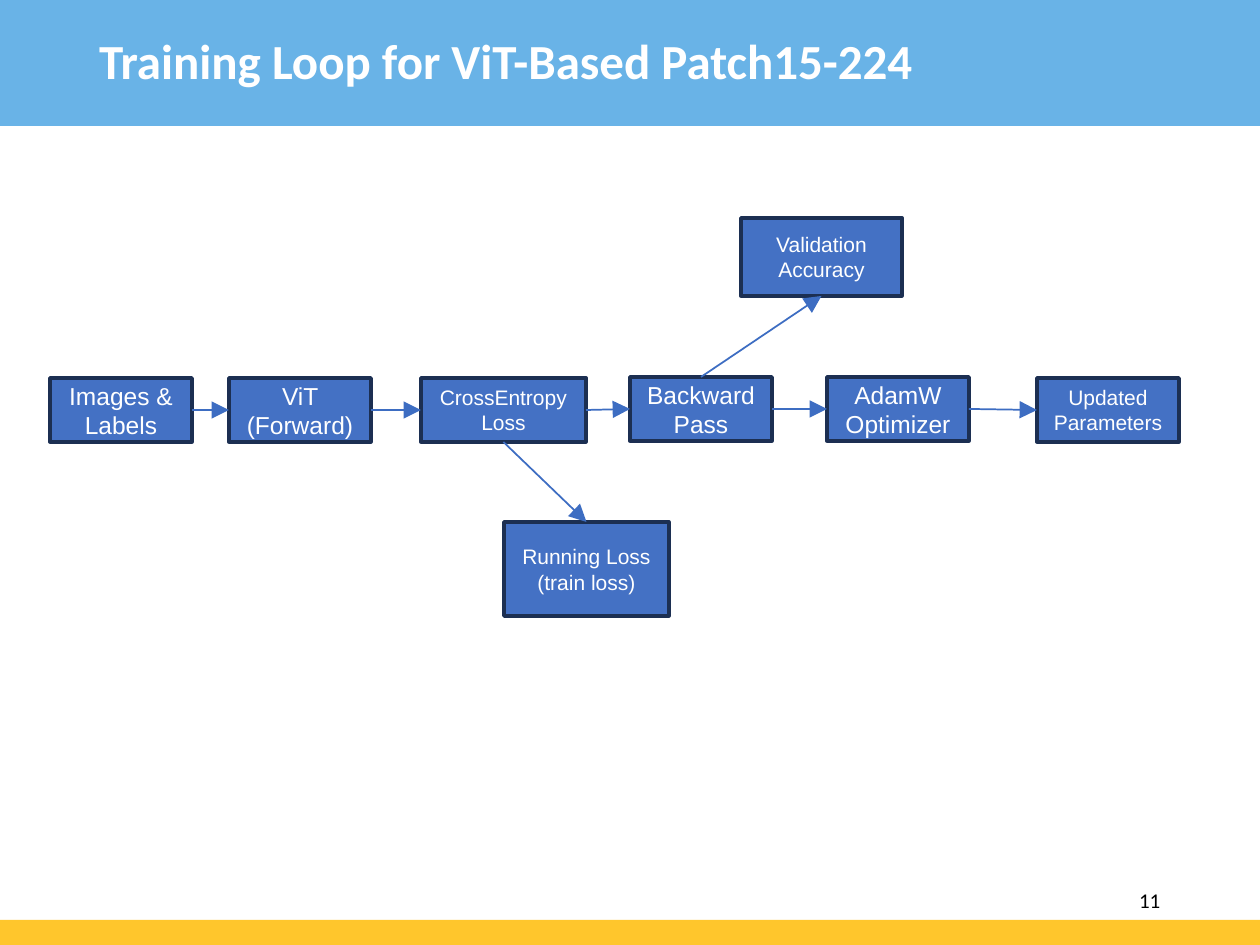
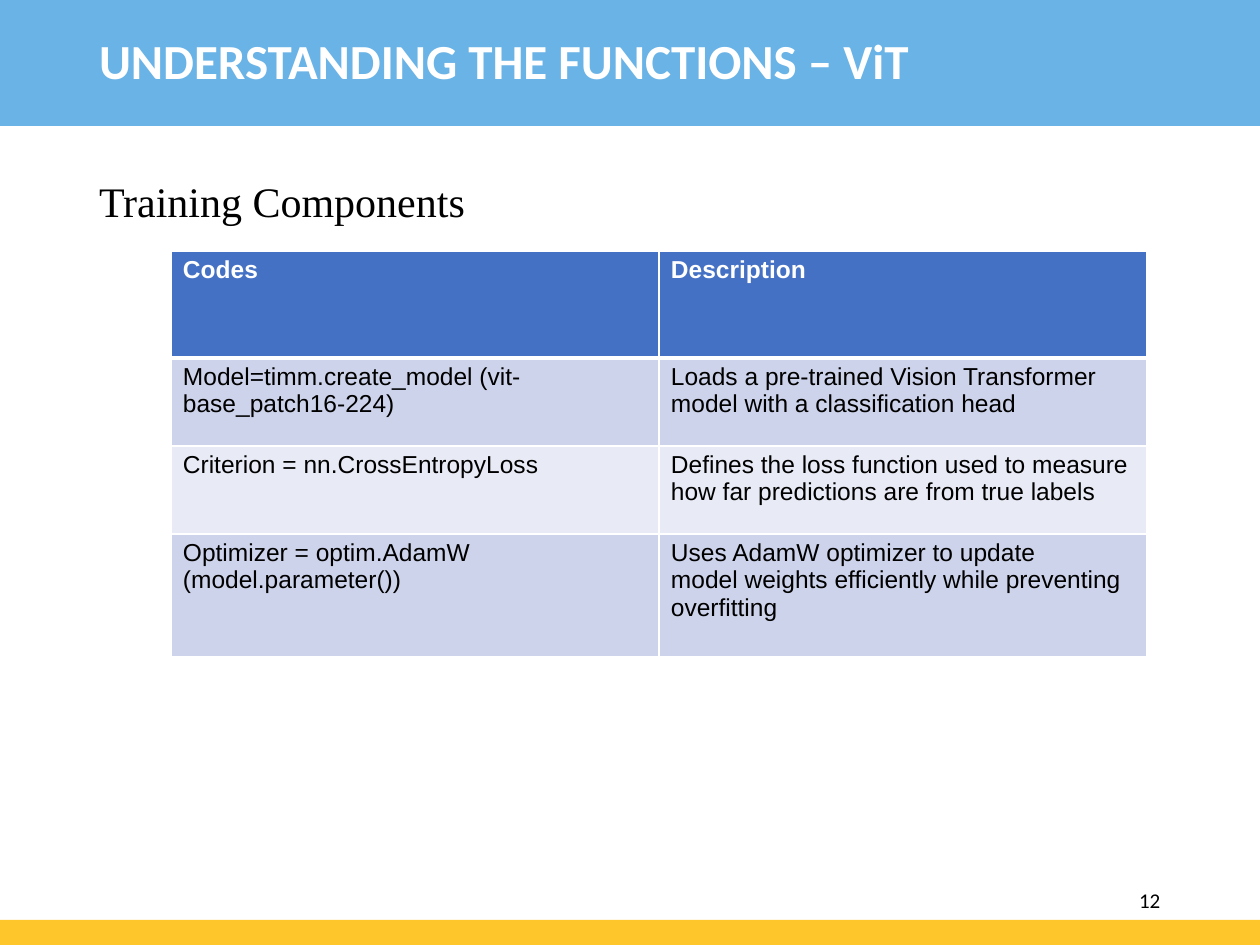
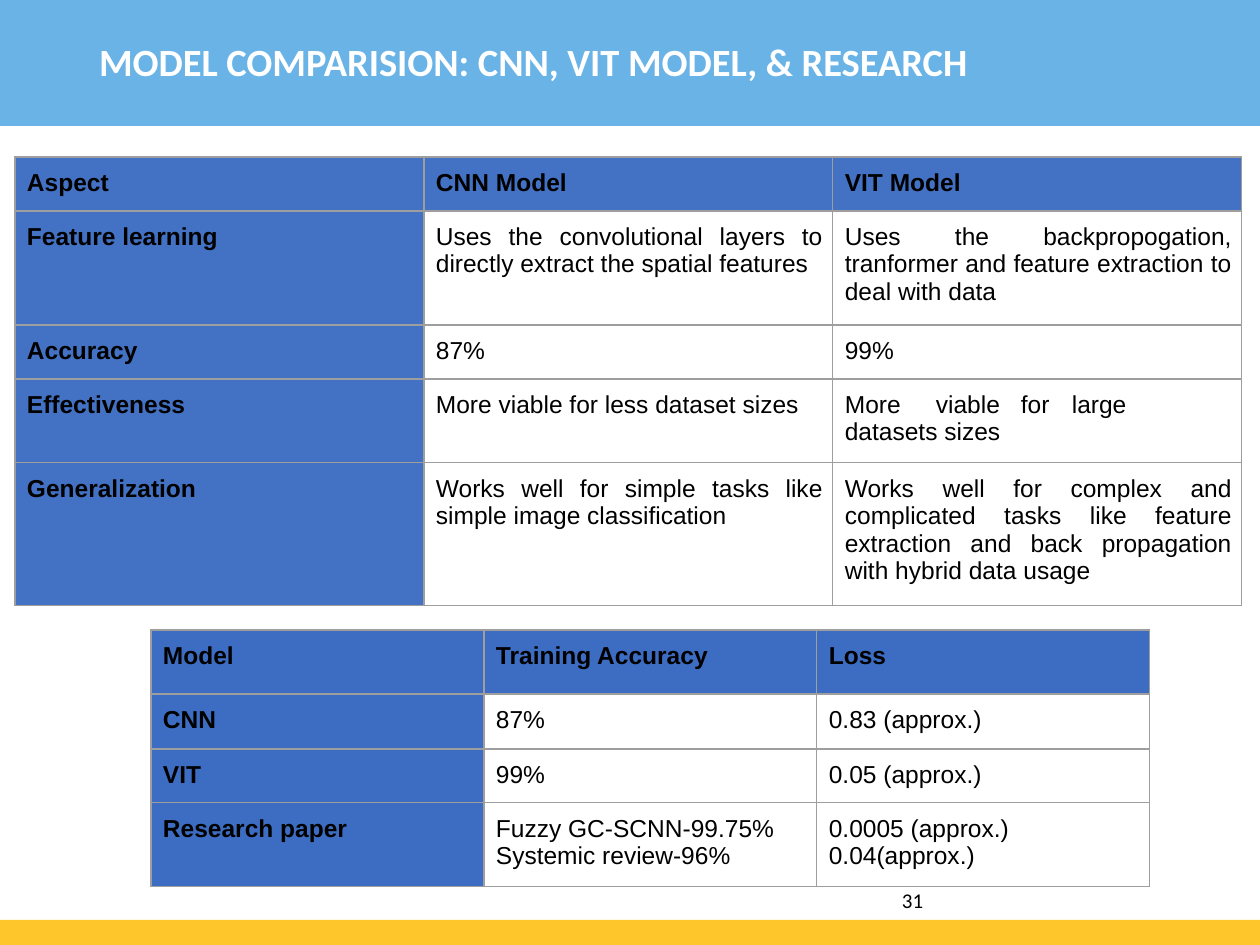
from lxml import etree
from pptx import Presentation
from pptx.dml.color import RGBColor
from pptx.enum.shapes import MSO_CONNECTOR, MSO_SHAPE
from pptx.enum.text import MSO_ANCHOR, MSO_AUTO_SIZE, PP_ALIGN
from pptx.oxml.ns import qn
from pptx.util import Emu, Pt

RECT, LINE = MSO_SHAPE.RECTANGLE, MSO_CONNECTOR.STRAIGHT
TOP, MID = MSO_ANCHOR.TOP, MSO_ANCHOR.MIDDLE
LEFT, MIDST, JUST = PP_ALIGN.LEFT, PP_ALIGN.CENTER, PP_ALIGN.JUSTIFY
UP, WEST, DOWN, EAST = range(4)

SKY, GOLD, WHITE, BLACK = "69B3E7", "FFC62C", "FFFFFF", "000000"
BLUE, NAVY, EDGE, GRAY = "4471C4", "1C2F52", "3D6DC2", "9E9E9E"

BANDS = [(0, 126, SKY), (920, 25, GOLD)]
TITLE = {"name": "Calibri", "size": 28, "bold": True, "color": WHITE}
PAGE = {"name": "Calibri", "size": 12, "color": BLACK}
HEAD = {"name": "Times New Roman", "size": 24, "color": BLACK}
NODE = {"name": "Arial", "size": 14, "color": WHITE}
CELL = {"name": "Arial", "size": 14, "bold": False, "color": BLACK}

NODES = {
    "data": ("Images & Labels", (50, 378, 142, 64), 14),
    "model": ("ViT (Forward)", (229, 378, 142, 64), 14),
    "loss": ("CrossEntropy Loss", (421, 378, 165, 64), 12),
    "back": ("Backward Pass", (630, 377, 142, 64), 14),
    "optim": ("AdamW Optimizer", (827, 377, 142, 64), 14),
    "params": ("Updated\nParameters", (1037, 378, 142, 64), 12),
    "run": ("Running Loss (train loss)", (504, 522, 165, 94), 12),
    "valid": ("Validation Accuracy", (741, 218, 161, 78), 12),
}
CHAIN = ["data", "model", "loss", "back", "optim", "params"]
LINKS = [(a, EAST, b, WEST) for a, b in zip(CHAIN, CHAIN[1:])]
LINKS += [("loss", DOWN, "run", UP), ("back", UP, "valid", DOWN)]

CODES = [
    ("Codes", "Description"),
    ("Model=timm.create_model (vit- base_patch16-224)",
     "Loads a pre-trained Vision Transformer model with a classification head"),
    ("Criterion = nn.CrossEntropyLoss",
     "Defines the loss function used to measure how far predictions are from true labels"),
    ("Optimizer = optim.AdamW (model.parameter())",
     "Uses AdamW optimizer to update\vmodel weights efficiently while preventing overfitting"),
]
ASPECTS = [
    ("Aspect", "CNN Model", "VIT Model"),
    ("Feature learning",
     "Uses the convolutional layers to directly extract the spatial features",
     "Uses the backpropogation, tranformer and feature extraction to deal with data"),
    ("Accuracy", "87%", "99%"),
    ("Effectiveness", "More viable for less dataset sizes",
     "More\tviable\tfor\tlarge\tdatasets sizes"),
    ("Generalization",
     "Works well for simple tasks like simple image classification",
     "Works well for complex and complicated tasks like feature extraction and back "
     "propagation with hybrid data usage"),
]
SCORES = [
    ("Model", "Training Accuracy", "Loss"),
    ("CNN", "87%", "0.83 (approx.)"),
    ("VIT", "99%", "0.05 (approx.)"),
    ("Research paper", "Fuzzy GC-SCNN-99.75%\nSystemic review-96%",
     "0.0005 (approx.) 0.04(approx.)"),
]
TABS = (91, 176, 227, 304)


def px(n):
    return Emu(round(n * 914400 / 126))


def rgb(code):
    return RGBColor.from_string(code)


def style(font, look):
    for key, val in look.items():
        if key == "color":
            font.color.rgb = rgb(val)
        else:
            setattr(font, key, Pt(val) if key == "size" else val)


def write(frame, text, look, align=LEFT, anchor=TOP, pad=(0, 0, 0, 0)):
    form = {"word_wrap": True, "auto_size": MSO_AUTO_SIZE.NONE, "vertical_anchor": anchor}
    sides = ("left", "top", "right", "bottom")
    form.update({f"margin_{side}": px(n) for side, n in zip(sides, pad)})
    for key, val in form.items():
        setattr(frame, key, val)
    frame.text = text
    for para in frame.paragraphs:
        para.alignment = align
        for run in para.runs:
            style(run.font, look)


def block(slide, box, fill, edge=None):
    shape = slide.shapes.add_shape(RECT, *map(px, box))
    shape.shadow.inherit = False
    shape.fill.solid()
    shape.fill.fore_color.rgb = rgb(fill)
    if edge:
        shape.line.color.rgb = rgb(edge)
        shape.line.width = Pt(2)
    else:
        shape.line.fill.background()
    return shape


def label(slide, box, text, look, pad=(0, 0, 0, 0)):
    frame = slide.shapes.add_textbox(*map(px, box)).text_frame
    write(frame, text, look, pad=pad)
    return frame


def start(deck, layout, text, page, page_x=1139, size=28, drop=3):
    slide = deck.slides.add_slide(layout)
    title = slide.shapes.title
    for key, val in zip(("left", "top", "width", "height"), (88, 28, 1000, 84)):
        setattr(title, key, px(val))
    write(title.text_frame, text, {**TITLE, "size": size}, pad=(11, drop, 0, 0))
    frame = label(slide, (page_x, 891, 30, 25), page, PAGE)
    frame.paragraphs[0].line_spacing = Pt(12.4)
    return slide


def link(slide, head, out, tail, into):
    wire = slide.shapes.add_connector(LINE, 0, 0, 0, 0)
    wire.begin_connect(head, out)
    wire.end_connect(tail, into)
    wire.line.color.rgb = rgb(EDGE)
    wire.line.width = Pt(1)
    etree.SubElement(wire.line._get_or_add_ln(), qn("a:tailEnd"), type="triangle", w="lg", len="lg")
    etree.SubElement(wire.element.spPr, qn("a:effectLst"))


def border(cell, code, widths):
    props = cell._tc.get_or_add_tcPr()
    for side, width in zip("LRTB", widths):
        line = etree.SubElement(props, qn(f"a:ln{side}"), w=str(Pt(width)))
        fill = etree.SubElement(line, qn("a:solidFill"))
        etree.SubElement(fill, qn("a:srgbClr"), val=code)


def add_tabs(para):
    stops = etree.SubElement(para._p.get_or_add_pPr(), qn("a:tabLst"))
    for stop in TABS:
        etree.SubElement(stops, qn("a:tab"), pos=str(px(stop)), algn="l")


def grid(slide, data, spot, col, rows, paint):
    size = (col * len(data[0]), sum(rows))
    table = slide.shapes.add_table(len(data), len(data[0]), *map(px, spot + size)).table
    table.first_row = table.horz_banding = False
    for part in table.columns:
        part.width = px(col)
    for r, (row, high) in enumerate(zip(data, rows)):
        table.rows[r].height = px(high)
        for c, text in enumerate(row):
            cell = table.cell(r, c)
            fill, look, drop, edge, widths = paint(r, c)
            border(cell, edge, widths)
            if fill:
                cell.fill.solid()
                cell.fill.fore_color.rgb = rgb(fill)
            else:
                cell.fill.background()
            for key, val in zip(("left", "top", "right", "bottom"), (12, drop, 10, 0)):
                setattr(cell, f"margin_{key}", px(val))
            cell.text = text
            for para in cell.text_frame.paragraphs:
                para.alignment = JUST if len(text) > 50 and edge == GRAY else LEFT
                if "\t" in text:
                    add_tabs(para)
                for run in para.runs:
                    style(run.font, {**CELL, **look})


def striped(r, c):
    fill = BLUE if r == 0 else ("E8EBF5", "CDD3EA")[r % 2]
    look = {"bold": True, "color": WHITE} if r == 0 else {}
    return fill, look, 5, WHITE, (1, 1, 3 if r == 1 else 1, 3 if r == 0 else 1)


def framed(fill):
    def paint(r, c):
        lead = r == 0 or c == 0
        return fill if lead else None, {"bold": lead}, 12, GRAY, (0.75,) * 4
    return paint


def main():
    deck = Presentation()
    deck.slide_width, deck.slide_height = px(1260), px(945)
    layout = deck.slide_layouts[5]

    loop = start(deck, layout, "Training Loop for ViT-Based Patch15-224", "11")
    for spot, (top, high, fill) in enumerate(BANDS, 2):
        band = block(loop, (0, top, 1260, high), fill)
        layout.shapes.element.insert(spot, band.element)
    nodes = {}
    for key, (text, box, size) in NODES.items():
        nodes[key] = block(loop, box, BLUE, NAVY)
        write(nodes[key].text_frame, text, {**NODE, "size": size}, MIDST, MID, (6, 0, 6, 0))
    for head, out, tail, into in LINKS:
        link(loop, nodes[head], out, nodes[tail], into)

    parts = start(deck, layout, "UNDERSTANDING THE FUNCTIONS – ViT", "12")
    label(parts, (98, 173, 370, 54), "Training Components", HEAD, (1, 3, 0, 0))
    grid(parts, CODES, (171, 251), 488, (107, 88, 88, 123), striped)

    match = start(deck, layout, "MODEL COMPARISION: CNN, VIT MODEL, & RESEARCH", "31", 902, 22, 10)
    grid(match, ASPECTS, (15, 157), 409, (54, 114, 54, 84, 143), framed("4371C3"))
    grid(match, SCORES, (151, 630), 333, (64, 55, 54, 84), framed(EDGE))

    deck.save("out.pptx")


if __name__ == "__main__":
    main()
